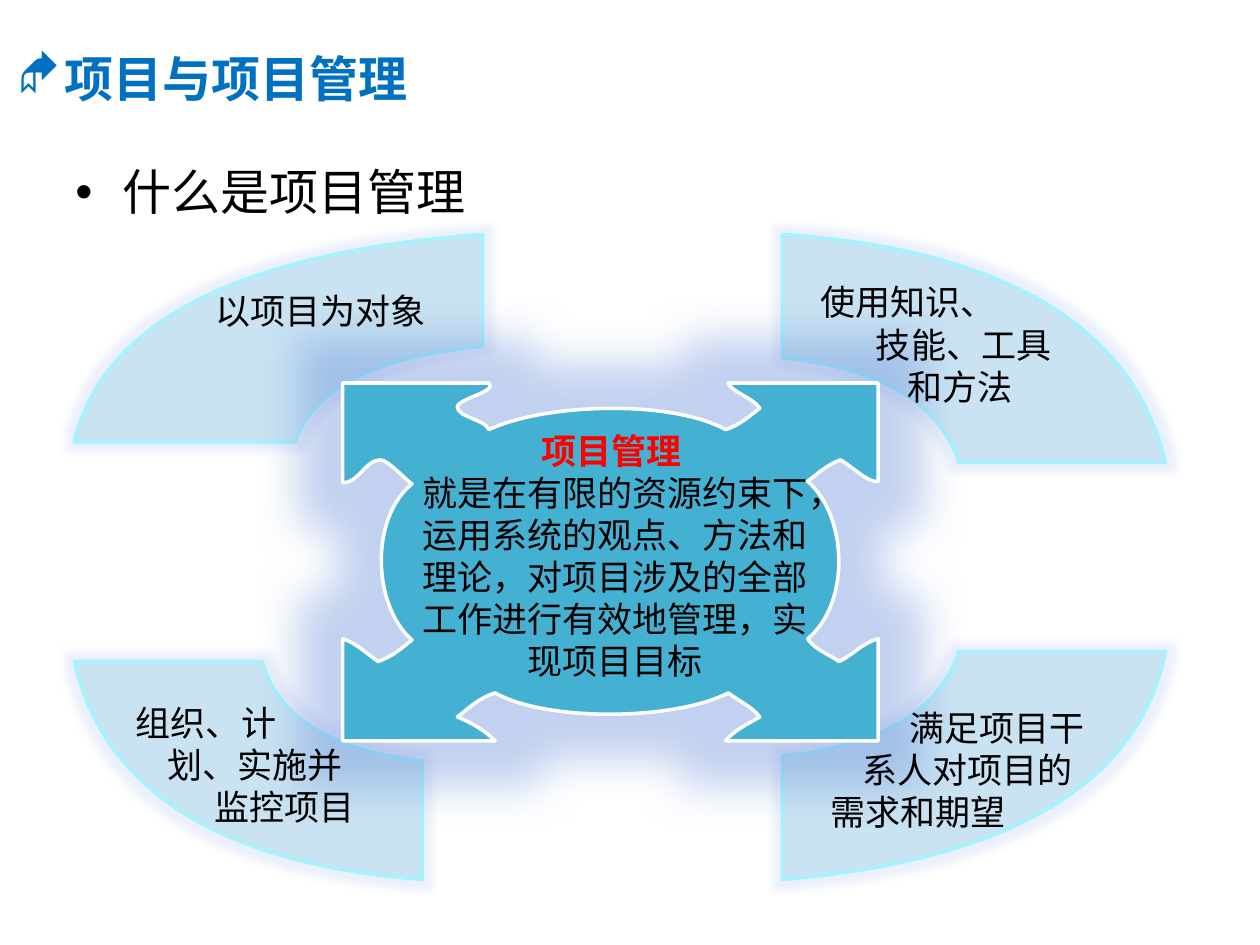
from lxml import etree
from pptx import Presentation
from pptx.dml.color import RGBColor
from pptx.enum.text import PP_ALIGN
from pptx.oxml.ns import qn
from pptx.util import Cm, Pt

LEFT, CENTER = PP_ALIGN.LEFT, PP_ALIGN.CENTER
COLORS = {"title": "0070C0", "text": "000000", "accent": "FF0000", "panel": "45B1D2",
          "rim": "A5F3FF", "white": "FFFFFF", "halo": "6A8EDA"}
HUNDREDTH_INCH = Cm(2.54) / 100

# Outlines in hundredths of an inch: a start point, then segments that hold
# either one point (straight line) or three points (cubic curve).
CORNERS = [
    [(59, 525), [(208, 525)], [(221, 570), (264, 596), (335, 604)],
     [(335, 698)], [(175, 686), (82, 627), (59, 525)]],
    [(621, 698), [(621, 600)], [(700, 592), (746, 564), (761, 517)],
     [(925, 517)], [(905, 622), (800, 683), (621, 698)]],
    [(925, 367), [(761, 367)], [(746, 320), (699, 292), (621, 284)],
     [(621, 186)], [(798, 198), (900, 260), (925, 367)]],
    [(383, 186), [(383, 275)], [(298, 283), (249, 308), (234, 351)],
     [(59, 351)], [(81, 255), (192, 200), (383, 186)]],
]
HUB = [
    (272, 304), [(388, 304)],
    [(395, 311), (364, 316), (363, 323)], [(363, 331), (385, 333), (388, 341)],
    [(433, 320), (532, 317), (576, 341)],
    [(588, 337), (595, 330), (603, 324)], [(598, 316), (579, 310), (578, 304)],
    [(697, 304)], [(697, 382)],
    [(690, 384), (676, 370), (667, 365)], [(656, 369), (649, 376), (641, 382)],
    [(673, 410), (675, 479), (641, 507)],
    [(646, 515), (657, 519), (666, 525)], [(677, 520), (683, 511), (697, 507)],
    [(697, 588)], [(576, 588)],
    [(582, 580), (593, 575), (603, 569)], [(597, 561), (586, 556), (578, 550)],
    [(535, 572), (434, 573), (393, 550)],
    [(380, 554), (372, 562), (363, 569)], [(375, 574), (385, 580), (393, 588)],
    [(272, 588)], [(272, 507)],
    [(284, 511), (291, 519), (300, 525)], [(312, 521), (319, 514), (327, 508)],
    [(296, 481), (293, 412), (327, 384)],
    [(323, 382), (308, 365), (302, 365)], [(290, 365), (284, 384), (272, 383)],
    [(272, 304)],
]

# Headings: text, box in cm, format (bullet is its font and character)
HEADINGS = [
    ("项目与项目管理", (0.1, 0.86, 17.35, 1.45),
     dict(font="Noto Sans CJK SC", color="title", bold=True, bullet=("Wingdings", "◆"))),
    ("什么是项目管理", (1.27, 3.14, 22.86, 1.19),
     dict(font="Calibri", bullet=("Arial", "•"))),
]
# Corner labels: box in cm, lines with their indent in cm
LABELS = [
    ((16.29, 5.54, 5.44, 2.82), [("使用知识、", 0), ("技能、工具", 1.12), ("和方法", 1.75)]),
    ((16.49, 14.12, 6.4, 2.82), [("满足项目干", 1.59), ("系人对项目的", 0.64), ("需求和期望", 0)]),
    ((4.09, 5.72, 5.46, 1.12), [("以项目为对象", 0)]),
    ((2.49, 14.02, 6.05, 2.82), [("组织、计", 0), ("划、实施并", 0.64), ("监控项目", 1.59)]),
]
DEFINITION_BOX = (8.1, 8.53, 8.61, 5.59)
DEFINITION = [
    ("项目管理 ", dict(color="accent", bold=True)),
    ("就是在有限的资源约束下，运用系统的观点、方法和理论，"
     "对项目涉及的全部工作进行有效地管理，实现项目目标", {}),
]


def rgb(name):
    return RGBColor.from_string(COLORS[name])


def add_alpha(color_element, percent):
    etree.SubElement(color_element, qn("a:alpha"), val=str(percent * 1000))


def add_glow(shape, radius, opacity):
    effects = shape._element.spPr.find(qn("a:effectLst"))
    glow = etree.SubElement(effects, qn("a:glow"), rad=str(int(radius)))
    add_alpha(etree.SubElement(glow, qn("a:srgbClr"), val=COLORS["halo"]), opacity)


def build_curved_shape(slide, outline):
    """Build a freeform through the segment ends, then bend the curved segments."""
    start, *segments = outline
    builder = slide.shapes.build_freeform(*start, scale=HUNDREDTH_INCH)
    builder.add_line_segments([segment[-1] for segment in segments], close=True)
    shape = builder.convert_to_shape()
    left = min(start[0], *(segment[-1][0] for segment in segments))
    top = min(start[1], *(segment[-1][1] for segment in segments))
    lines = list(shape._element.spPr.iter(qn("a:lnTo")))
    for line, segment in zip(lines, segments):
        if len(segment) == 3:
            curve = etree.Element(qn("a:cubicBezTo"))
            for x, y in segment:
                etree.SubElement(curve, qn("a:pt"), x=str(x - left), y=str(y - top))
            line.getparent().replace(line, curve)
    return shape


def add_outline(slide, outline, line, glow_radius, glow_opacity, opacity=100):
    shape = build_curved_shape(slide, outline)
    shape.shadow.inherit = False
    shape.fill.solid()
    shape.fill.fore_color.rgb = rgb("panel")
    if opacity < 100:
        add_alpha(shape._element.spPr.find(qn("a:solidFill"))[0], opacity)
    shape.line.color.rgb = rgb(line)
    shape.line.width = Pt(2)
    add_glow(shape, glow_radius, glow_opacity)


def add_text(slide, box, paragraphs, **shared):
    """Add a text box; each paragraph is a text with its own format."""
    frame = slide.shapes.add_textbox(*map(Cm, box)).text_frame
    frame.word_wrap = True
    for index, (text, own) in enumerate(paragraphs):
        paragraph = frame.add_paragraph() if index else frame.paragraphs[0]
        format_paragraph(paragraph, text, **{**shared, **own})


def format_paragraph(paragraph, text, font="Arial", size=20, color="text", bold=False,
                     align=LEFT, indent=0, bullet=None):
    paragraph.alignment = align
    run = paragraph.add_run()
    run.text = text
    run.font.name, run.font.size, run.font.bold = font, Pt(size), bold
    run.font.color.rgb = rgb(color)
    properties = paragraph._p.get_or_add_pPr()
    if bullet:
        bullet_font, character = bullet
        properties.set("marL", str(Cm(0.95)))
        properties.set("indent", str(-Cm(0.95)))
        etree.SubElement(properties, qn("a:buFont"), typeface=bullet_font)
        etree.SubElement(properties, qn("a:buChar"), char=character)
    elif indent:
        properties.set("marL", str(Cm(indent)))


def main():
    presentation = Presentation()
    presentation.slide_width, presentation.slide_height = Cm(25.4), Cm(19.05)
    slide = presentation.slides.add_slide(presentation.slide_layouts[6])

    for text, box, style in HEADINGS:
        add_text(slide, box, [(text, style)], size=28)
    for outline in CORNERS:
        add_outline(slide, outline, "rim", Cm(0.3), 13, opacity=20)
    add_outline(slide, HUB, "white", Cm(1.75), 40)
    for box, lines in LABELS:
        add_text(slide, box, [(text, dict(indent=indent)) for text, indent in lines])
    add_text(slide, DEFINITION_BOX, DEFINITION, align=CENTER)

    presentation.save("out.pptx")


if __name__ == "__main__":
    main()
